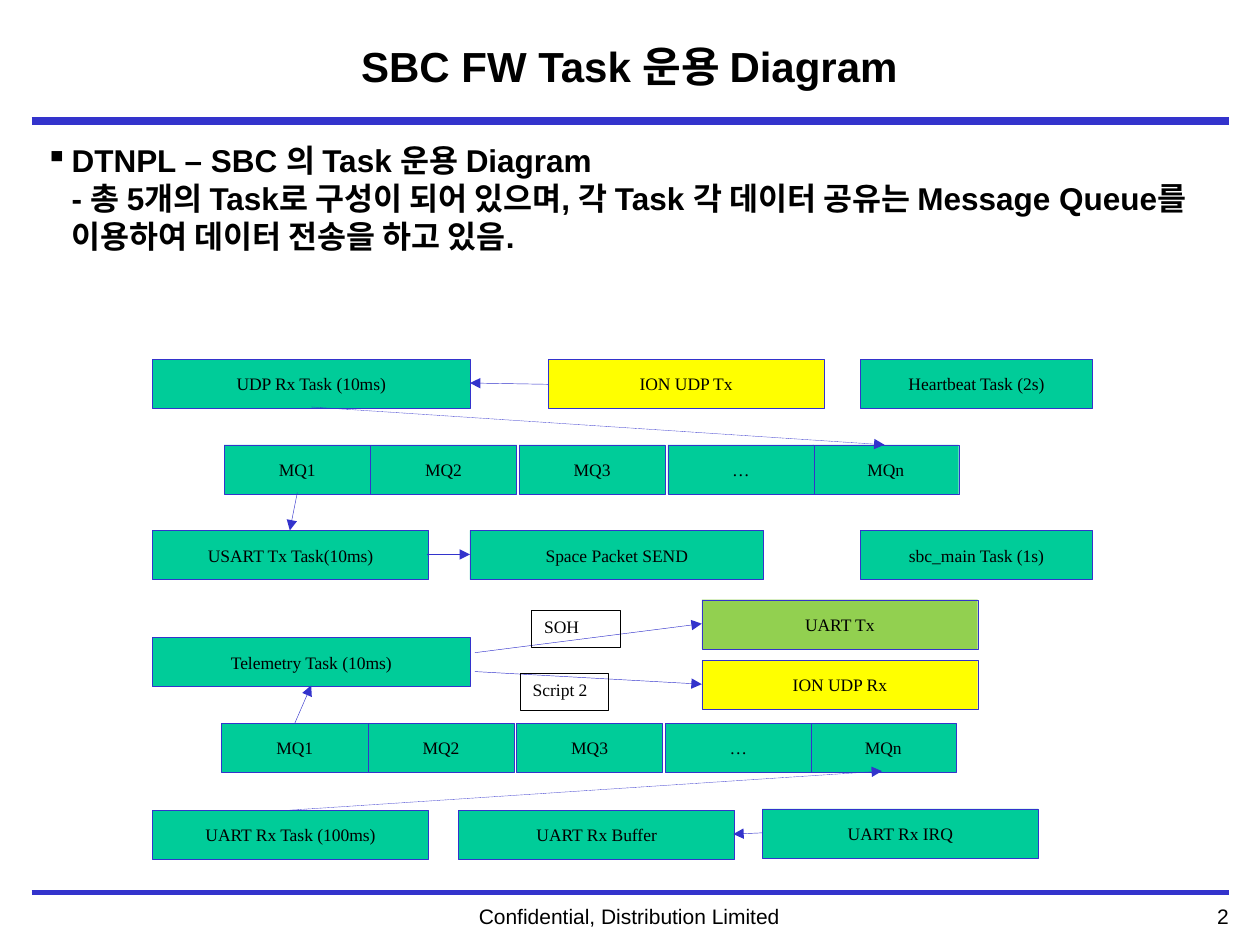
from lxml import etree
from pptx import Presentation
from pptx.dml.color import RGBColor
from pptx.enum.dml import MSO_LINE
from pptx.enum.shapes import MSO_CONNECTOR, MSO_SHAPE
from pptx.enum.text import MSO_ANCHOR, PP_ALIGN
from pptx.oxml.ns import qn
from pptx.util import Inches, Pt

LEFT, CENTER, RIGHT = PP_ALIGN.LEFT, PP_ALIGN.CENTER, PP_ALIGN.RIGHT
TOP, MIDDLE = MSO_ANCHOR.TOP, MSO_ANCHOR.MIDDLE
DOTTED = MSO_LINE.ROUND_DOT
BLUE, BLACK = "3333CC", "000000"
GREEN, YELLOW, LIME = "00CC99", "FFFF00", "92D050"
HAIRLINE, BOX_HEIGHT = 0.25, 0.39

RULES = [(7.09, 2), (7.08, 2), (0.96, 4.5)]
BODY = (
    "DTNPL – SBC 의 Task 운용 Diagram\v"
    "- 총 5개의 Task로 구성이 되어 있으며, 각 Task 각 데이터 공유는 "
    "Message Queue를 이용하여 데이터 전송을 하고 있음."
)
QUEUES = [(1.78, 3.53), (1.76, 5.74)]
QUEUE_CELLS = [("MQ1", 0), ("MQ2", 1.16), ("MQ3", 2.34), ("MQn", 4.67), ("…", 3.52)]
BOXES = [
    ("UDP Rx Task (10ms)", 1.21, 2.85, 2.52, GREEN),
    ("ION UDP Tx", 4.35, 2.85, 2.19, YELLOW),
    ("Heartbeat Task (2s)", 6.83, 2.85, 1.84, GREEN),
    ("USART Tx Task(10ms)", 1.21, 4.21, 2.19, GREEN),
    ("Space Packet SEND", 3.73, 4.21, 2.33, GREEN),
    ("sbc_main Task (1s)", 6.83, 4.21, 1.84, GREEN),
    ("Telemetry Task (10ms)", 1.21, 5.06, 2.52, GREEN),
    ("UART Tx", 5.57, 4.76, 2.19, LIME),
    ("ION UDP Rx", 5.57, 5.24, 2.19, YELLOW),
    ("UART Rx Task (100ms)", 1.21, 6.43, 2.19, GREEN),
    ("UART Rx Buffer", 3.64, 6.43, 2.19, GREEN),
    ("UART Rx IRQ", 6.05, 6.42, 2.19, GREEN),
]
ARROWS = [
    (4.35, 3.05, 3.73, 3.04, None),
    (2.47, 3.23, 7.02, 3.53, DOTTED),
    (2.36, 3.91, 2.3, 4.21, None),
    (3.39, 4.4, 3.73, 4.4, None),
    (3.77, 5.18, 5.57, 4.95, None),
    (3.77, 5.33, 5.57, 5.43, None),
    (2.34, 5.74, 2.47, 5.44, None),
    (2.3, 6.43, 7, 6.12, DOTTED),
    (6.05, 6.61, 5.82, 6.62, None),
]
LABELS = [("Script 2", 4.13, 5.34), ("SOH", 4.22, 4.84)]


def rgb(color):
    """Turn a hex string into a colour."""
    return RGBColor.from_string(color)


def write(shape, text, size, font="Arial", align=LEFT, anchor=TOP, bold=False, wrap=True):
    """Put one styled paragraph into a shape and return it."""
    frame = shape.text_frame
    frame.word_wrap = wrap
    frame.vertical_anchor = anchor
    frame.text = text
    para = frame.paragraphs[0]
    para.alignment = align
    para.font.name = font
    para.font.size = Pt(size)
    para.font.bold = bold
    para.font.color.rgb = rgb(BLACK)
    return para


def add_text(page, text, left, top, width, height, size, **style):
    """Add a text box and return its paragraph."""
    box = page.shapes.add_textbox(Inches(left), Inches(top), Inches(width), Inches(height))
    return write(box, text, size, **style)


def add_bullet(para, symbol, indent):
    """Give a paragraph a hanging bullet."""
    properties = para._p.get_or_add_pPr()
    properties.set("marL", str(Inches(indent)))
    properties.set("indent", str(Inches(-indent)))
    etree.SubElement(properties, qn("a:buChar")).set("char", symbol)


def add_rectangle(page, left, top, width, height, line, fill=None):
    """Add a thinly outlined rectangle, unfilled unless a colour is given."""
    box = page.shapes.add_shape(
        MSO_SHAPE.RECTANGLE, Inches(left), Inches(top), Inches(width), Inches(height)
    )
    box.shadow.inherit = False
    box.line.color.rgb = rgb(line)
    box.line.width = Pt(HAIRLINE)
    if fill:
        box.fill.solid()
        box.fill.fore_color.rgb = rgb(fill)
    else:
        box.fill.background()
    return box


def add_task(page, text, left, top, width, fill):
    """Add a coloured box with a centred name."""
    box = add_rectangle(page, left, top, width, BOX_HEIGHT, BLUE, fill)
    write(box, text, 10, "Times New Roman", CENTER, MIDDLE, wrap=False)


def add_label(page, text, left, top):
    """Add a small outlined label for an arrow."""
    box = add_rectangle(page, left, top, 0.7, 0.3, BLACK)
    write(box, text, 10, "Times New Roman")


def add_line(page, x1, y1, x2, y2, width):
    """Add a straight blue line."""
    line = page.shapes.add_connector(
        MSO_CONNECTOR.STRAIGHT, Inches(x1), Inches(y1), Inches(x2), Inches(y2)
    )
    line.line.color.rgb = rgb(BLUE)
    line.line.width = Pt(width)
    etree.SubElement(line._element.spPr, qn("a:effectLst"))
    return line


def add_arrow(page, x1, y1, x2, y2, dash):
    """Add a thin line with a triangle at its end."""
    arrow = add_line(page, x1, y1, x2, y2, HAIRLINE)
    if dash:
        arrow.line.dash_style = dash
    etree.SubElement(arrow.line._get_or_add_ln(), qn("a:tailEnd")).set("type", "triangle")


def main():
    """Build the slide and save it."""
    deck = Presentation()
    deck.slide_width, deck.slide_height = Inches(10), Inches(7.5)
    page = deck.slides.add_slide(deck.slide_layouts[6])

    for y, width in RULES:
        add_line(page, 0.25, y, 9.75, y, width)
    add_text(page, "2", 8.23, 7.12, 1.62, 0.3, 12, align=RIGHT)
    add_text(page, "Confidential, Distribution Limited", 2.45, 7.12, 5.09, 0.3, 12, align=CENTER)
    add_text(page, "SBC FW Task 운용 Diagram", 1.33, 0.14, 7.33, 0.77, 24,
             align=CENTER, anchor=MIDDLE, bold=True)
    body = add_text(page, BODY, 0.26, 1.07, 9.48, 5.74, 18, bold=True)
    body.space_before = Pt(3.6)
    add_bullet(body, "▪", 0.21)

    for left, top in QUEUES:
        for name, offset in QUEUE_CELLS:
            add_task(page, name, left + offset, top, 1.16, GREEN)
    for box in BOXES:
        add_task(page, *box)
    for arrow in ARROWS:
        add_arrow(page, *arrow)
    for label in LABELS:
        add_label(page, *label)

    deck.save("out.pptx")


if __name__ == "__main__":
    main()
